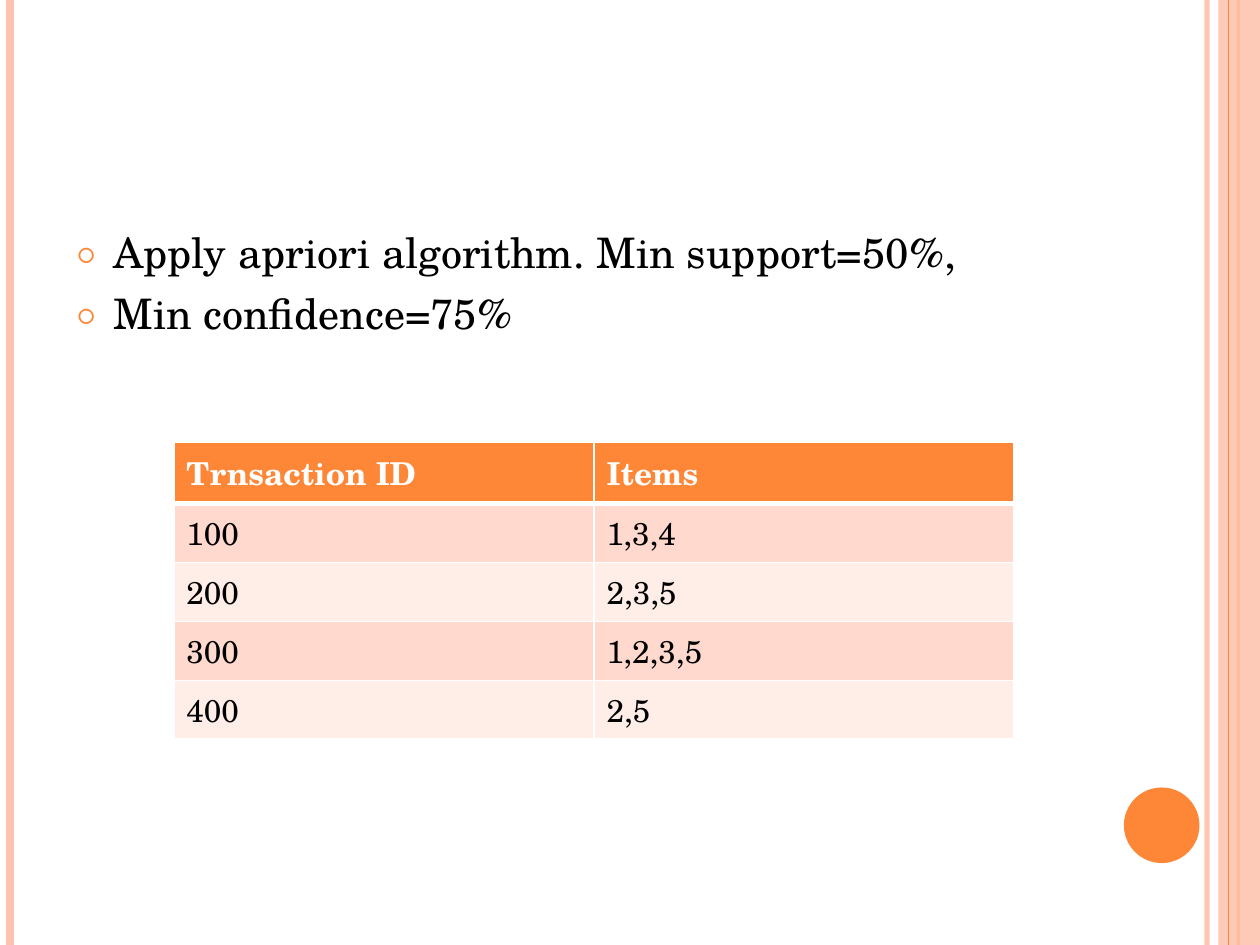
import pptx
import pptx.dml.color
import pptx.enum.shapes
import pptx.enum.text
import pptx.oxml
import pptx.oxml.ns
import pptx.util
from pptx.util import Inches

RGBColor = pptx.dml.color.RGBColor
ORANGE = RGBColor(0xFE, 0x86, 0x37)
PEACH = RGBColor(0xFE, 0xC3, 0xAE)
BAND_DARK = RGBColor(0xFF, 0xD9, 0xCE)
BAND_LIGHT = RGBColor(0xFF, 0xED, 0xE8)
WHITE = RGBColor(0xFF, 0xFF, 0xFF)
BLACK = RGBColor(0, 0, 0)
FONT = "TeX Gyre Schola"

BULLETS = ["Apply apriori algorithm. Min support=50%,", "Min confidence=75%"]
TRANSACTIONS = [
    ("Trnsaction ID", "Items"),
    ("100", "1,3,4"),
    ("200", "2,3,5"),
    ("300", "1,2,3,5"),
    ("400", "2,5"),
]


def add_xml(parent, tag, **attributes):
    element = pptx.oxml.parse_xml(f"<{tag} {pptx.oxml.ns.nsdecls('a')}/>")
    for name, value in attributes.items():
        element.set(name, str(value))
    parent.append(element)
    return element


def set_alpha(fill_parent, percent):
    color = next(fill_parent.iter(pptx.oxml.ns.qn("a:srgbClr")))
    add_xml(color, "a:alpha", val=percent * 1000)


def format_run(run, size, color, bold=False):
    values = {"name": FONT, "size": pptx.util.Pt(size), "bold": bold}
    for name, value in values.items():
        setattr(run.font, name, value)
    run.font.color.rgb = color


def add_stripe(slide, x, color, width, opacity=100):
    line = slide.shapes.add_connector(
        pptx.enum.shapes.MSO_CONNECTOR.STRAIGHT,
        Inches(x), 0, Inches(x), Inches(7.5))
    line.line.color.rgb = color
    line.line.width = pptx.util.Pt(width)
    properties = line._element.spPr
    if opacity < 100:
        set_alpha(properties, opacity)
    add_xml(properties, "a:effectLst")


def add_solid(slide, kind, left, top, width, height, color, opacity=100):
    shape = slide.shapes.add_shape(
        kind, Inches(left), Inches(top), Inches(width), Inches(height))
    shape.shadow.inherit = False
    shape.fill.solid()
    shape.fill.fore_color.rgb = color
    shape.line.fill.background()
    if opacity < 100:
        set_alpha(shape._element.spPr, opacity)


def add_bullet(paragraph, text):
    paragraph.space_before = pptx.util.Pt(6)
    properties = paragraph._p.get_or_add_pPr()
    properties.set("marL", str(Inches(0.3)))
    properties.set("indent", str(-Inches(0.3)))
    bullet_color = add_xml(properties, "a:buClr")
    add_xml(bullet_color, "a:srgbClr", val=ORANGE)
    add_xml(properties, "a:buSzPct", val=70000)
    add_xml(properties, "a:buFont", typeface=FONT)
    add_xml(properties, "a:buChar", char="○")
    run = paragraph.add_run()
    run.text = text
    format_run(run, 24, BLACK)


def fill_body(body):
    position = {"left": 0.5, "top": 1.75, "width": 8.17, "height": 5.33}
    for name, value in position.items():
        setattr(body, name, Inches(value))
    frame = body.text_frame
    frame.auto_size = pptx.enum.text.MSO_AUTO_SIZE.NONE
    for index, text in enumerate(BULLETS):
        paragraph = frame.add_paragraph() if index else frame.paragraphs[0]
        add_bullet(paragraph, text)


def set_borders(cell, widths):
    properties = cell._tc.get_or_add_tcPr()
    for side, width in widths.items():
        border = add_xml(properties, f"a:ln{side}", w=pptx.util.Pt(width))
        add_xml(add_xml(border, "a:solidFill"), "a:srgbClr", val=WHITE)


def add_transactions(slide):
    row_height = 0.41
    table = slide.shapes.add_table(
        len(TRANSACTIONS), 2, Inches(1.38), Inches(3.51),
        Inches(6.67), Inches(row_height * len(TRANSACTIONS))).table
    for row_index, values in enumerate(TRANSACTIONS):
        header = row_index == 0
        band = BAND_DARK if row_index % 2 else BAND_LIGHT
        table.rows[row_index].height = Inches(row_height)
        for column_index, text in enumerate(values):
            cell = table.cell(row_index, column_index)
            set_borders(cell, {"L": 1, "R": 1,
                               "T": 3 if row_index == 1 else 1,
                               "B": 3 if header else 1})
            cell.fill.solid()
            cell.fill.fore_color.rgb = ORANGE if header else band
            run = cell.text_frame.paragraphs[0].add_run()
            run.text = text
            format_run(run, 18, WHITE if header else BLACK, header)


def main():
    presentation = pptx.Presentation()
    presentation.slide_width = Inches(10)
    presentation.slide_height = Inches(7.5)
    slide = presentation.slides.add_slide(presentation.slide_layouts[1])
    title = slide.shapes.title._element
    title.getparent().remove(title)
    body = slide.placeholders[1]
    shapes = pptx.enum.shapes.MSO_SHAPE

    # Edge decoration
    add_stripe(slide, 9.58, PEACH, 3, 93)
    add_stripe(slide, 0.08, PEACH, 4.5)
    add_stripe(slide, 9.83, ORANGE, 1.5)
    add_solid(slide, shapes.RECTANGLE, 9.67, 0, 0.33, 7.5, PEACH, 87)
    add_stripe(slide, 9.75, ORANGE, 0.75)
    add_solid(slide, shapes.OVAL, 8.92, 6.25, 0.6, 0.6, ORANGE)

    # Task and its data
    fill_body(body)
    add_transactions(slide)
    presentation.save("out.pptx")


if __name__ == "__main__":
    main()
